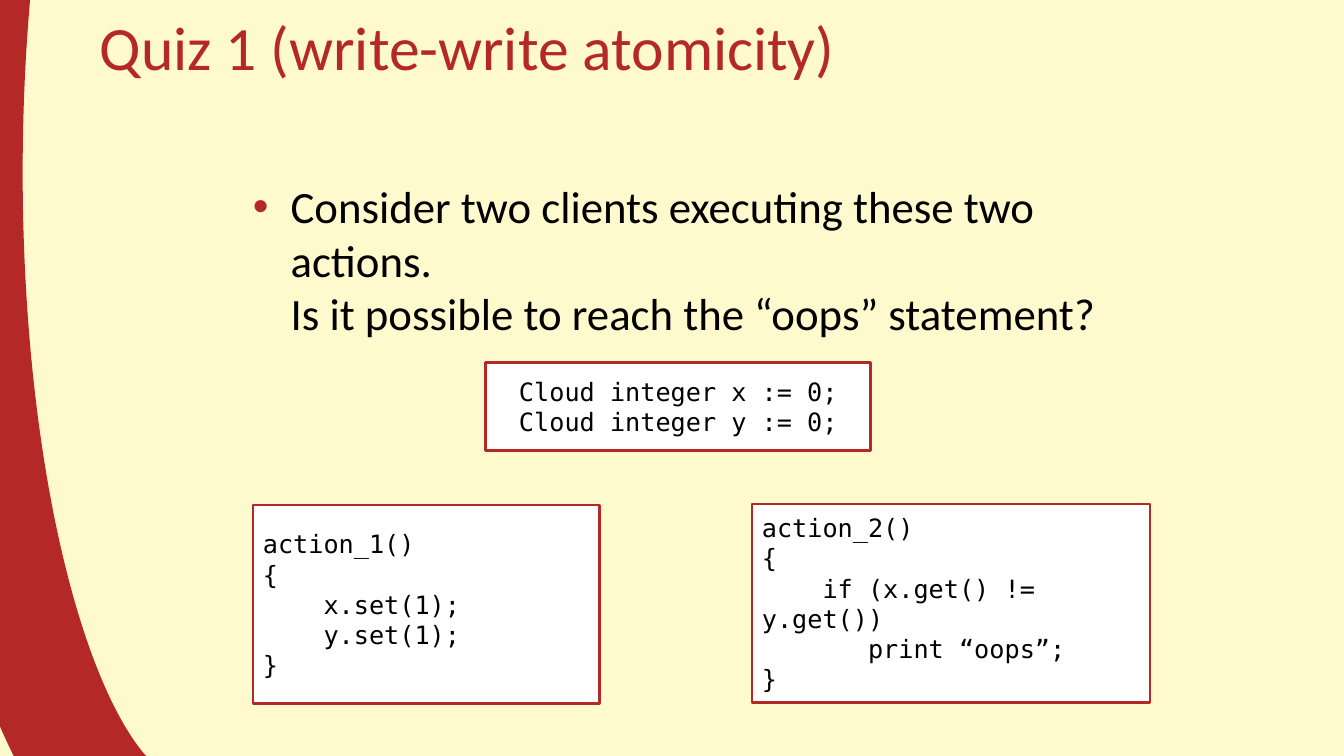
from lxml.etree import SubElement
from pptx import Presentation
from pptx.dml.color import RGBColor
from pptx.enum.shapes import MSO_SHAPE as Shape
from pptx.enum.text import MSO_ANCHOR as Anchor, MSO_AUTO_SIZE as AutoSize, PP_ALIGN as Align
from pptx.oxml.ns import qn
from pptx.util import Pt

RED, CREAM, WHITE, BLACK = "B42828", "FFFACD", "FFFFFF", "000000"
SANS, MONO = "Calibri", "DejaVu Sans Mono"


def colour(value):
    return RGBColor.from_string(value)


class QuizPage:
    """Holds the style and the current slide of the quiz."""

    def __init__(self, deck):
        self.page = deck.slides.add_slide(deck.slide_layouts[5])
        self.page.background.fill.solid()
        self.page.background.fill.fore_color.rgb = colour(CREAM)

    def add_lines(self, para, text, size, font, ink):
        for number, line in enumerate(text.split("\n")):
            if number:
                para.add_line_break()
            span = para.add_run()
            span.text = line
            span.font.size, span.font.name = Pt(size), font
            span.font.color.rgb = colour(ink)

    def outline(self, shape, width):
        shape.shadow.inherit = False
        shape.line.color.rgb = colour(RED)
        shape.line.width = Pt(width)

    def arc(self, left, top, width, height, angles, weight):
        arc = self.page.shapes.add_shape(Shape.ARC, Pt(left), Pt(top), Pt(width), Pt(height))
        arc.adjustments[0], arc.adjustments[1] = angles
        arc.element.spPr.find(qn("a:xfrm")).set("flipH", "1")
        arc.fill.background()
        self.outline(arc, weight)

    def title(self, text, left, top, width, height):
        title = self.page.shapes.title
        title.left, title.top, title.width, title.height = map(Pt, (left, top, width, height))
        frame = title.text_frame
        frame.auto_size, frame.vertical_anchor = AutoSize.NONE, Anchor.MIDDLE
        para = frame.paragraphs[0]
        para.alignment = Align.LEFT
        self.add_lines(para, text, 44, SANS, RED)

    def bullet(self, text, left, top, width, height):
        box = self.page.shapes.add_textbox(Pt(left), Pt(top), Pt(width), Pt(height))
        box.text_frame.word_wrap = True
        para = box.text_frame.paragraphs[0]
        props = para._p.get_or_add_pPr()
        props.set("marL", str(Pt(27)))
        props.set("indent", str(Pt(-27)))
        SubElement(SubElement(props, qn("a:buClr")), qn("a:srgbClr")).set("val", RED)
        SubElement(props, qn("a:buFont")).set("typeface", "Arial")
        SubElement(props, qn("a:buChar")).set("char", "•")
        self.add_lines(para, text, 32, SANS, BLACK)

    def code(self, paragraphs, left, top, width, height, align=Align.LEFT):
        box = self.page.shapes.add_shape(Shape.RECTANGLE, Pt(left), Pt(top), Pt(width), Pt(height))
        box.fill.solid()
        box.fill.fore_color.rgb = colour(WHITE)
        self.outline(box, 2)
        frame = box.text_frame
        frame.word_wrap, frame.vertical_anchor = True, Anchor.MIDDLE
        for number, text in enumerate(paragraphs):
            para = frame.add_paragraph() if number else frame.paragraphs[0]
            para.alignment = align
            self.add_lines(para, text, 18, MONO, BLACK)


def main():
    deck = Presentation()
    deck.slide_width, deck.slide_height = Pt(960), Pt(540)
    quiz = QuizPage(deck)
    quiz.arc(-23.8, -347.8, 295.9, 941.8, (177.67, 55.34), 80)
    quiz.title("Quiz 1 (write-write atomicity)", 64, -12, 864, 90)
    quiz.bullet("Consider two clients executing these two actions.\n"
                "Is it possible to reach the “oops” statement?", 173.5, 124, 648, 362)
    quiz.code(["action_1()", "{\n    x.set(1);", "    y.set(1);\n}"], 180.7, 360.7, 247.7, 141.8)
    quiz.code(["Cloud integer x := 0;", "Cloud integer y := 0;"], 347, 259.2, 275, 62.6, Align.CENTER)
    quiz.code(["action_2()", "{\n    if (x.get() != y.get())", "       print “oops”;\n}"],
              537.1, 360, 284.4, 141.8)
    deck.save("out.pptx")


if __name__ == "__main__":
    main()
